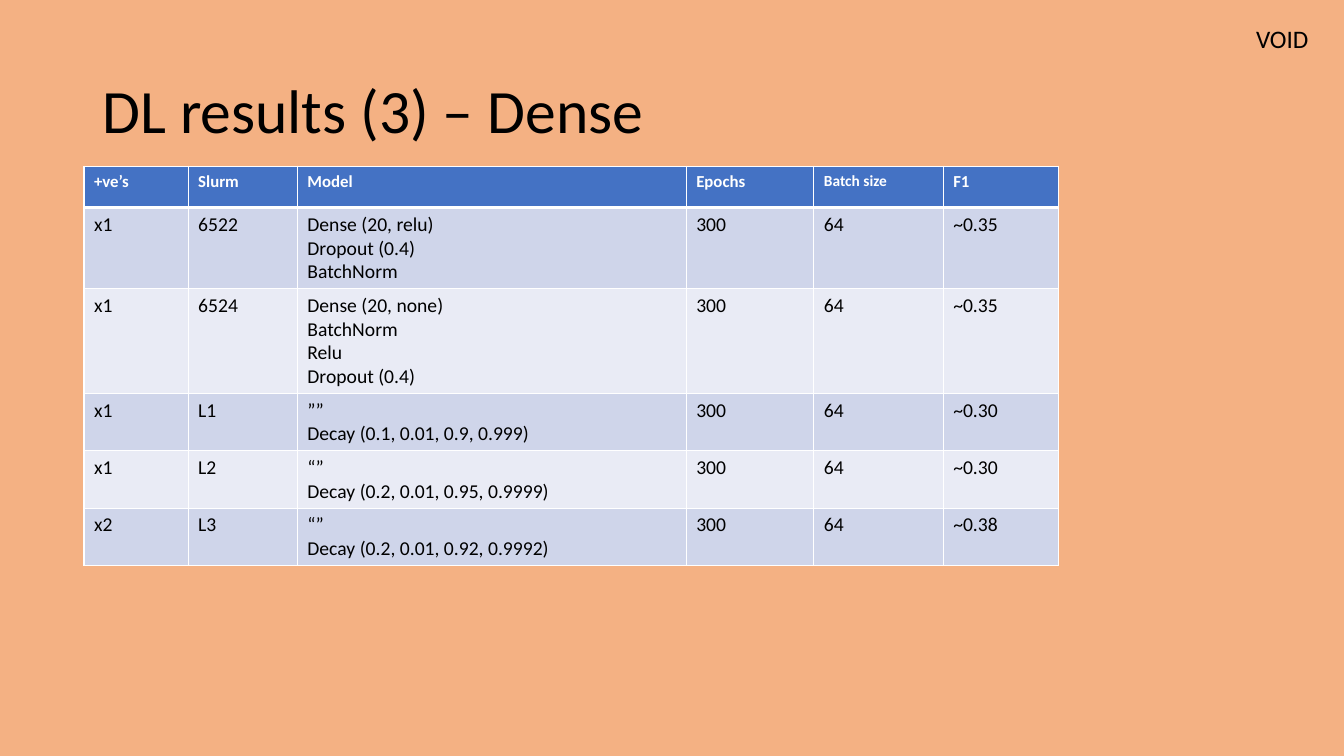
import pptx
import pptx.dml.color
import pptx.enum.text
import pptx.oxml
import pptx.oxml.ns
import pptx.util

COLORS = {
    "background": "F4B183",
    "text": "000000",
    "header": "4472C4",
    "header_text": "FFFFFF",
    "odd_row": "CFD5EA",
    "even_row": "E9EBF5",
    "border": "FFFFFF",
}
FONT = "Calibri"
SLIDE_WIDTH = pptx.util.Inches(13.33)
SLIDE_HEIGHT = pptx.util.Inches(7.5)
GRID_COLUMNS, GRID_ROWS = 160, 90

HEADERS = ["+ve’s", "Slurm", "Model", "Epochs", "Batch size", "F1"]
COLUMN_SPANS = [12.4, 13, 46.3, 15.2, 15.4, 13.7]
HEADER_SPAN = 4.9
CELL_PADDING_SPAN = 1.2
LINE_SPAN = 2.82
RUNS = [
    ("x1", "6522", ["Dense (20, relu)", "Dropout (0.4)", "BatchNorm"], "~0.35"),
    ("x1", "6524", ["Dense (20, none)", "BatchNorm", "Relu", "Dropout (0.4)"], "~0.35"),
    ("x1", "L1", ["””", "Decay (0.1, 0.01, 0.9, 0.999)"], "~0.30"),
    ("x1", "L2", ["“”", "Decay (0.2, 0.01, 0.95, 0.9999)"], "~0.30"),
    ("x2", "L3", ["“”", "Decay (0.2, 0.01, 0.92, 0.9992)"], "~0.38"),
]
EPOCHS, BATCH_SIZE = "300", "64"


def across(columns):
    return round(SLIDE_WIDTH * columns / GRID_COLUMNS)


def down(rows):
    return round(SLIDE_HEIGHT * rows / GRID_ROWS)


def place(box):
    left, top, width, height = box
    return across(left), down(top), across(width), down(height)


def rgb(name):
    return pptx.dml.color.RGBColor.from_string(COLORS[name])


def write(frame, lines, size=14, color="text", bold=False, spacing=None):
    for index, line in enumerate(lines):
        paragraph = frame.paragraphs[0] if index == 0 else frame.add_paragraph()
        if spacing:
            paragraph.line_spacing = spacing
        run = paragraph.add_run()
        run.text = line
        run.font.name = FONT
        run.font.size = pptx.util.Pt(size)
        run.font.bold = bold
        run.font.color.rgb = rgb(color)


def add_label(slide, box, label, size, wrap=True, anchor="TOP", spacing=None):
    frame = slide.shapes.add_textbox(*place(box)).text_frame
    frame.word_wrap = wrap
    frame.vertical_anchor = pptx.enum.text.MSO_ANCHOR[anchor]
    if not wrap:
        frame.auto_size = pptx.enum.text.MSO_AUTO_SIZE.SHAPE_TO_FIT_TEXT
    write(frame, [label], size=size, spacing=spacing)


def style_cell(cell, fill, top=1, bottom=1):
    properties = cell._tc.get_or_add_tcPr()
    for side, width in {"L": 1, "R": 1, "T": top, "B": bottom}.items():
        properties.append(pptx.oxml.parse_xml(
            f'<a:ln{side} {pptx.oxml.ns.nsdecls("a")} w="{pptx.util.Pt(width)}">'
            f'<a:solidFill><a:srgbClr val="{COLORS["border"]}"/></a:solidFill>'
            f'</a:ln{side}>'))
    cell.fill.solid()
    cell.fill.fore_color.rgb = rgb(fill)


def add_results(slide, box):
    row_spans = [HEADER_SPAN] + [
        CELL_PADDING_SPAN + LINE_SPAN * len(layers) for _, _, layers, _ in RUNS]
    results = slide.shapes.add_table(
        len(row_spans), len(HEADERS), *place((*box, sum(row_spans)))).table
    for column, span in zip(results.columns, COLUMN_SPANS):
        column.width = across(span)
    for row, span in zip(results.rows, row_spans):
        row.height = down(span)

    for column, header in enumerate(HEADERS):
        cell = results.cell(0, column)
        style_cell(cell, "header", bottom=3)
        write(cell.text_frame, [header], size=11 if header == "Batch size" else 12,
              color="header_text", bold=True)

    for row, (positives, job, layers, score) in enumerate(RUNS, start=1):
        entries = [[positives], [job], layers, [EPOCHS], [BATCH_SIZE], [score]]
        for column, lines in enumerate(entries):
            cell = results.cell(row, column)
            style_cell(cell, "odd_row" if row % 2 else "even_row",
                       top=3 if row == 1 else 1)
            write(cell.text_frame, lines)


def build_results_slide(presentation):
    slide = presentation.slides.add_slide(presentation.slide_layouts[6])
    slide.background.fill.solid()
    slide.background.fill.fore_color.rgb = rgb("background")
    add_label(slide, (11, 4.8, 138, 17.4), "DL results (3) – Dense", 44,
              anchor="MIDDLE", spacing=0.9)
    add_results(slide, (10, 19.8, sum(COLUMN_SPANS)))
    add_label(slide, (148.35, 2.2, 8.75, 4.8), "VOID", 18, wrap=False)


def main():
    presentation = pptx.Presentation()
    presentation.slide_width = SLIDE_WIDTH
    presentation.slide_height = SLIDE_HEIGHT
    build_results_slide(presentation)
    presentation.save("out.pptx")


if __name__ == "__main__":
    main()
